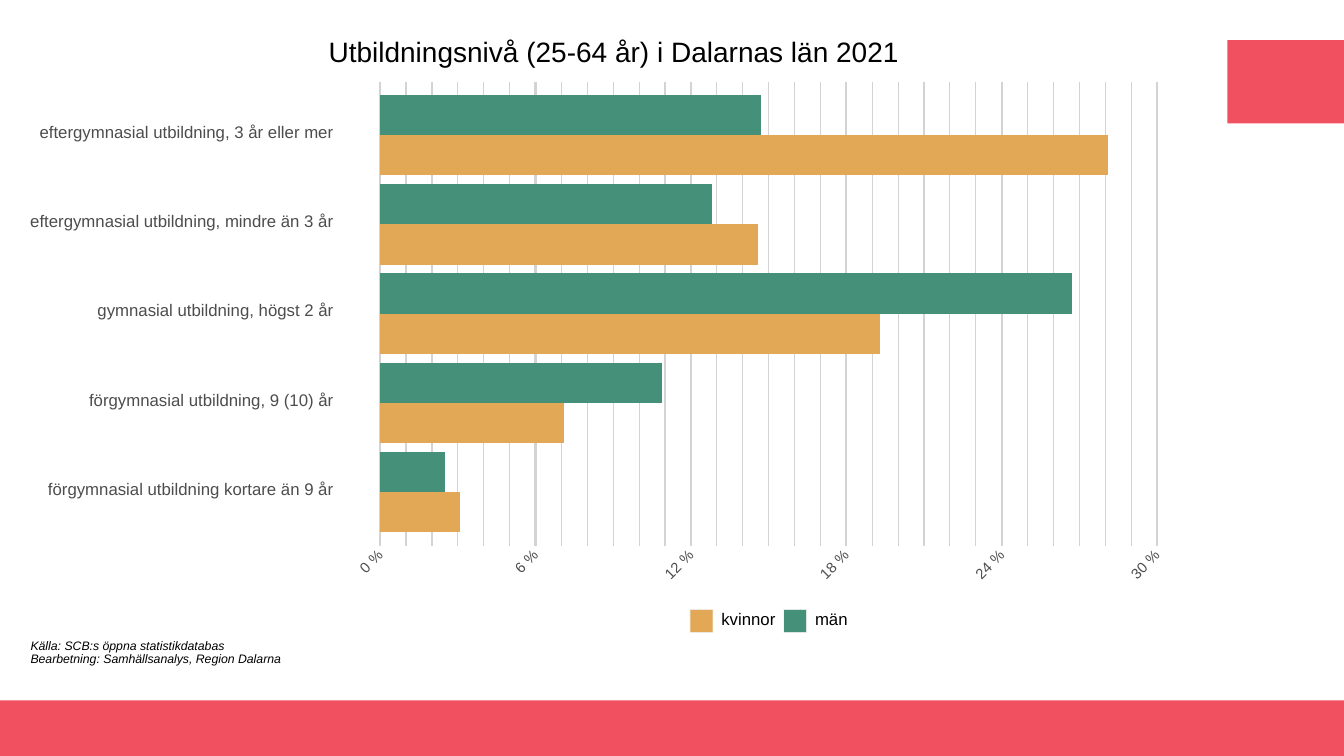
"""Builds the slide on education levels in Dalarna by sex, 2021."""
from dataclasses import dataclass

from lxml import etree
from pptx import Presentation
from pptx.chart.chart import Chart
from pptx.chart.data import CategoryChartData
from pptx.dml.color import RGBColor
from pptx.enum.chart import XL_CHART_TYPE, XL_TICK_LABEL_POSITION, XL_TICK_MARK
from pptx.enum.shapes import MSO_CONNECTOR, MSO_SHAPE
from pptx.enum.text import MSO_ANCHOR, PP_ALIGN
from pptx.oxml.ns import qn
from pptx.slide import Slide
from pptx.text.text import TextFrame
from pptx.util import Cm, Pt

BAR_CLUSTERED = XL_CHART_TYPE.BAR_CLUSTERED
NO_LABELS = XL_TICK_LABEL_POSITION.NONE
NO_TICKS = XL_TICK_MARK.NONE
OUTER_TICKS = XL_TICK_MARK.OUTSIDE
STRAIGHT = MSO_CONNECTOR.STRAIGHT
RECTANGLE = MSO_SHAPE.RECTANGLE
MIDDLE = MSO_ANCHOR.MIDDLE
LEFT = PP_ALIGN.LEFT
RIGHT = PP_ALIGN.RIGHT

CORAL = RGBColor(0xF1, 0x50, 0x60)
OCHRE = RGBColor(0xE2, 0xA8, 0x55)
GREEN = RGBColor(0x45, 0x90, 0x79)
KEY_GREY = RGBColor(0xF2, 0xF2, 0xF2)
GRID_GREY = RGBColor(0xD3, 0xD3, 0xD3)
LABEL_GREY = RGBColor(0x4D, 0x4D, 0x4D)
BLACK = RGBColor(0, 0, 0)
FONT = "Arial"


@dataclass(frozen=True)
class Area:
    """A rectangle on the slide, in centimetres."""
    left: float
    top: float
    width: float
    height: float

    def lengths(self) -> tuple[Cm, Cm, Cm, Cm]:
        """Return left, top, width and height as lengths."""
        return Cm(self.left), Cm(self.top), Cm(self.width), Cm(self.height)

    def moved(self, right: float = 0, down: float = 0) -> "Area":
        """Return the area shifted to the right and down."""
        return Area(self.left + right, self.top + down, self.width, self.height)


@dataclass(frozen=True)
class Group:
    """One population group with its share in per cent at each level."""
    name: str
    color: RGBColor
    shares: tuple[float, ...]


@dataclass(frozen=True)
class Writing:
    """The look of a piece of text."""
    size: float
    spacing: float
    color: RGBColor = BLACK
    italic: bool = False
    alignment: PP_ALIGN = LEFT


BRAND_BLOCKS = (Area(0, 17.65, 33.87, 1.4), Area(30.93, 1.01, 2.94, 2.1))
TITLE_AREA = Area(8.28, 1.04, 16, 0.66)
CHART_AREA = Area(0.58, 1.9, 29.8, 14.15)
PLOT_AREA = Area(9.58, 2.28, 19.58, 11.25)
GRID_TOP, GRID_BOTTOM = 2.06, 13.77
TOP_LEVEL_AREA = Area(0.5, 3.15, 7.91, 0.41)
LEVEL_STEP = 2.25
KEY_AREA = Area(17.38, 15.35, 0.6, 0.6)
SWATCH_AREA = Area(17.4, 15.37, 0.56, 0.56)
KEY_LABEL_AREA = Area(18.18, 15.49, 1.6, 0.3)
KEY_STEP = 2.36
SOURCE_AREA = Area(0.77, 16.13, 6.4, 0.64)
SHARE_MAX, SHARE_STEP = 30, 6

TITLE = "Utbildningsnivå (25-64 år) i Dalarnas län 2021"
SOURCES = (
    "Källa: SCB:s öppna statistikdatabas",
    "Bearbetning: Samhällsanalys, Region Dalarna",
)
LEVELS = (
    "förgymnasial utbildning kortare än 9 år",
    "förgymnasial utbildning, 9 (10) år",
    "gymnasial utbildning, högst 2 år",
    "eftergymnasial utbildning, mindre än 3 år",
    "eftergymnasial utbildning, 3 år eller mer",
)
GROUPS = (
    Group("kvinnor", OCHRE, (3.1, 7.1, 19.3, 14.6, 28.1)),
    Group("män", GREEN, (2.5, 10.9, 26.7, 12.8, 14.7)),
)
TITLE_WRITING = Writing(20, 20)
LEVEL_WRITING = Writing(12, 12, LABEL_GREY, alignment=RIGHT)
KEY_WRITING = Writing(12, 12)
SOURCE_WRITING = Writing(8.8, 9.4, italic=True)


def set_all(target: object, values: dict[str, object]) -> None:
    """Set each named attribute of the target."""
    for name, value in values.items():
        setattr(target, name, value)


def write_lines(frame: TextFrame, lines: tuple[str, ...], writing: Writing) -> None:
    """Write lines in a frame without margins."""
    set_all(frame, {"margin_left": 0, "margin_right": 0, "margin_top": 0,
                    "margin_bottom": 0, "word_wrap": True,
                    "vertical_anchor": MIDDLE})
    frame.text = "\n".join(lines)
    for paragraph in frame.paragraphs:
        set_all(paragraph, {"alignment": writing.alignment, "space_before": Pt(0),
                            "line_spacing": Pt(writing.spacing)})
        font = paragraph.runs[0].font
        set_all(font, {"name": FONT, "size": Pt(writing.size),
                       "bold": False, "italic": writing.italic})
        font.color.rgb = writing.color


def add_text(slide: Slide, area: Area, lines: tuple[str, ...], writing: Writing) -> None:
    """Add a text box with the given lines."""
    write_lines(slide.shapes.add_textbox(*area.lengths()).text_frame, lines, writing)


def add_block(slide: Slide, area: Area, color: RGBColor) -> None:
    """Draw one plain block."""
    block = slide.shapes.add_shape(RECTANGLE, *area.lengths())
    block.shadow.inherit = False
    block.fill.solid()
    block.fill.fore_color.rgb = color
    block.line.fill.background()


def add_gridlines(slide: Slide) -> None:
    """Draw one line per per cent, thicker at every labelled share."""
    for share in range(SHARE_MAX + 1):
        x = Cm(PLOT_AREA.left + PLOT_AREA.width * share / SHARE_MAX)
        gridline = slide.shapes.add_connector(
            STRAIGHT, x, Cm(GRID_TOP), x, Cm(GRID_BOTTOM))
        gridline.line.color.rgb = GRID_GREY
        gridline.line.width = Pt(0.85 if share % SHARE_STEP else 1.71)
        etree.SubElement(gridline._element.spPr, qn("a:effectLst"))


def style_axes(chart: Chart) -> None:
    """Format the level and share axes."""
    levels, shares = chart.category_axis, chart.value_axis
    for axis in (levels, shares):
        set_all(axis, {"minor_tick_mark": NO_TICKS, "has_major_gridlines": False})
        axis.format.line.fill.background()
    set_all(levels, {"major_tick_mark": NO_TICKS, "tick_label_position": NO_LABELS})
    set_all(shares, {"major_tick_mark": OUTER_TICKS, "minimum_scale": 0,
                     "maximum_scale": SHARE_MAX, "major_unit": SHARE_STEP})
    labels = shares.tick_labels
    set_all(labels, {"number_format": '0" %"', "number_format_is_linked": False})
    set_all(labels.font, {"name": FONT, "size": Pt(10.5)})
    labels.font.color.rgb = LABEL_GREY
    body = shares._element.find(qn("c:txPr")).find(qn("a:bodyPr"))
    body.set("rot", str(-45 * 60000))


def place_plot(chart: Chart) -> None:
    """Fix the plot area in the chart frame and clear both backgrounds."""
    plot = chart._chartSpace.chart.plotArea
    for earlier in plot.findall(qn("c:layout")):
        plot.remove(earlier)
    layout = etree.Element(qn("c:layout"))
    manual = etree.SubElement(layout, qn("c:manualLayout"))
    settings = {
        "layoutTarget": "inner", "xMode": "edge", "yMode": "edge",
        "x": (PLOT_AREA.left - CHART_AREA.left) / CHART_AREA.width,
        "y": (PLOT_AREA.top - CHART_AREA.top) / CHART_AREA.height,
        "w": PLOT_AREA.width / CHART_AREA.width,
        "h": PLOT_AREA.height / CHART_AREA.height,
    }
    for name, value in settings.items():
        etree.SubElement(manual, qn(f"c:{name}"), val=str(value))
    plot.insert(0, layout)
    for neighbour in (plot[-1], chart._chartSpace.chart):
        background = etree.Element(qn("c:spPr"))
        etree.SubElement(background, qn("a:noFill"))
        etree.SubElement(etree.SubElement(background, qn("a:ln")), qn("a:noFill"))
        neighbour.addnext(background)


def add_education_chart(slide: Slide) -> None:
    """Add the bar chart of education levels with its level labels."""
    data = CategoryChartData(number_format="0.0")
    data.categories = LEVELS
    for group in GROUPS:
        data.add_series(group.name, group.shares)
    chart = slide.shapes.add_chart(BAR_CLUSTERED, *CHART_AREA.lengths(), data).chart
    set_all(chart, {"has_title": False, "has_legend": False})
    set_all(chart.font, {"name": FONT, "size": Pt(12)})
    bars = chart.plots[0]
    set_all(bars, {"gap_width": 22, "overlap": 0, "vary_by_categories": False})
    for series, group in zip(bars.series, GROUPS):
        series.format.fill.solid()
        series.format.fill.fore_color.rgb = group.color
    style_axes(chart)
    place_plot(chart)
    for row, level in enumerate(reversed(LEVELS)):
        area = TOP_LEVEL_AREA.moved(down=row * LEVEL_STEP)
        add_text(slide, area, (level,), LEVEL_WRITING)


def add_legend(slide: Slide) -> None:
    """Draw a framed swatch and a name for each group."""
    for column, group in enumerate(GROUPS):
        shift = column * KEY_STEP
        add_block(slide, KEY_AREA.moved(shift), KEY_GREY)
        add_block(slide, SWATCH_AREA.moved(shift), group.color)
        add_text(slide, KEY_LABEL_AREA.moved(shift), (group.name,), KEY_WRITING)


def main() -> None:
    """Build and save the slide."""
    deck = Presentation()
    set_all(deck, {"slide_width": Cm(33.87), "slide_height": Cm(19.05)})
    slide = deck.slides.add_slide(deck.slide_layouts[5])
    for area in BRAND_BLOCKS:
        add_block(slide, area, CORAL)
    title = slide.shapes.title
    title.left, title.top, title.width, title.height = TITLE_AREA.lengths()
    write_lines(title.text_frame, (TITLE,), TITLE_WRITING)
    add_gridlines(slide)
    add_education_chart(slide)
    add_legend(slide)
    add_text(slide, SOURCE_AREA, SOURCES, SOURCE_WRITING)
    deck.save("out.pptx")


if __name__ == "__main__":
    main()
